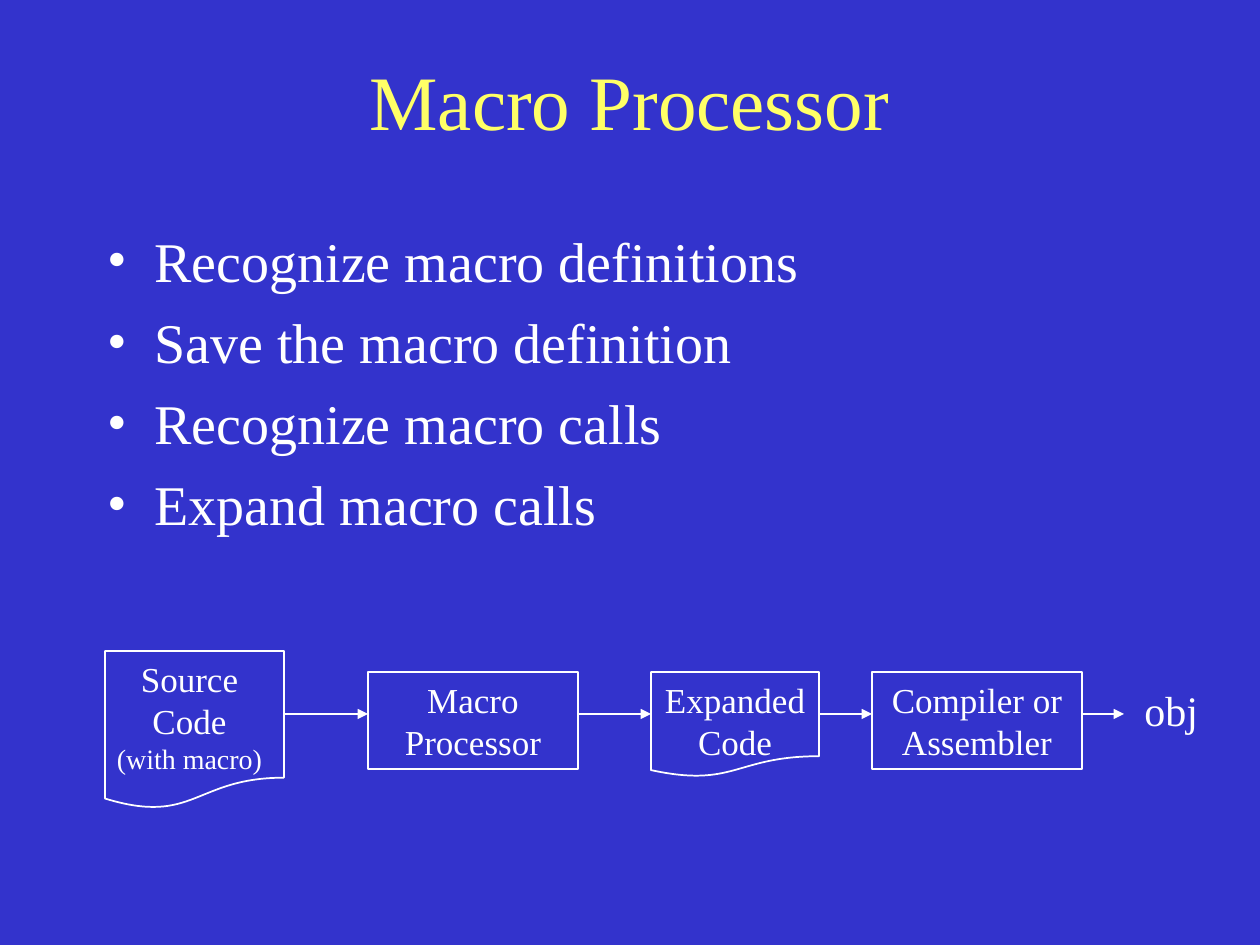
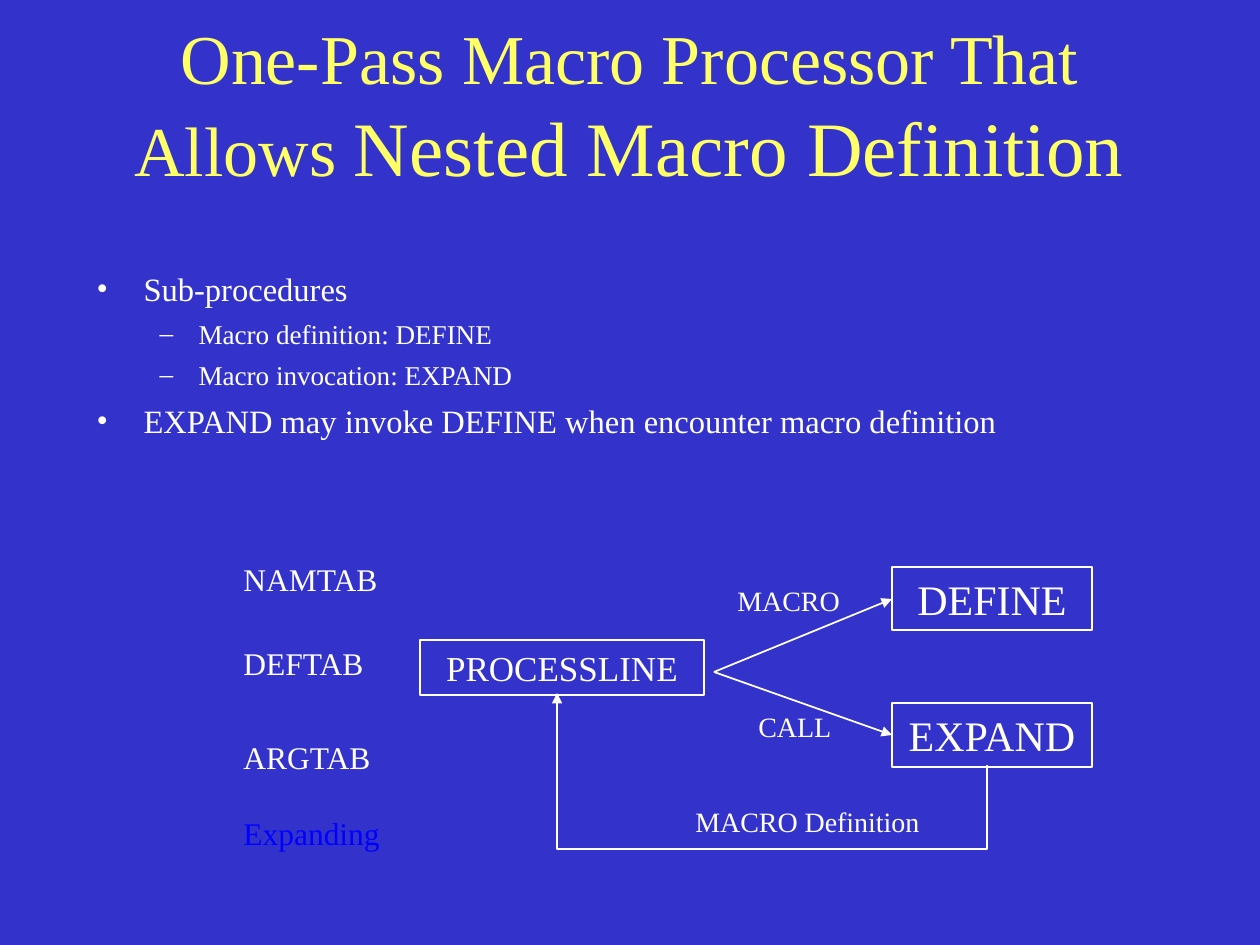
from lxml.etree import SubElement
from pptx import Presentation
from pptx.dml.color import RGBColor
from pptx.enum.shapes import MSO_CONNECTOR as Connector, MSO_SHAPE as Shape
from pptx.enum.text import MSO_ANCHOR as Anchor, PP_ALIGN as Align
from pptx.oxml.ns import qn
from pptx.util import Emu, Pt

# Shared style
COLORS = {"background": "3333CC", "title": "FFFF66", "text": "FFFFFF", "active": "0000FF"}
FONT = "Times New Roman"
LINE_HEIGHT = 1.2
PX_PER_INCH = 126
TITLE_BOX = (94, 42, 1071, 116)
BULLETS = [("•", 47, 47), ("–", 102, 39)]  # character, margin, hanging indent

# Slide 1 content
DUTIES_TITLE = [("Macro Processor", 44)]
DUTIES_BOX = (95, 220, 1071, 620)
DUTIES = [
    (0, "Recognize macro definitions"),
    (0, "Save the macro definition"),
    (0, "Recognize macro calls"),
    (0, "Expand macro calls"),
]
DUTIES_STYLE = [(32, 8)]  # size and space before, per level
FLOW_ARROW_Y = 714
FLOW_END_X = 1124
FLOW_STEPS = [
    # outline, outline box, text box, lines of (text, size)
    (Shape.FLOWCHART_DOCUMENT, (105, 651, 179, 158), (95, 651, 189, 131),
     [("Source Code", 20), ("(with macro)", 16)]),
    (Shape.RECTANGLE, (368, 672, 210, 97), None, [("Macro Processor", 20)]),
    (Shape.FLOWCHART_DOCUMENT, (651, 672, 168, 105), (651, 672, 168, 97),
     [("Expanded Code", 20)]),
    (Shape.RECTANGLE, (872, 672, 210, 97), None, [("Compiler or Assembler", 20)]),
]
FLOW_RESULT = ((1132, 678, 100, 63), "obj", 24)

# Slide 2 content
NESTED_TITLE = [("One-Pass Macro Processor That", 40), (" ", 44), ("Allows ", 40),
                ("Nested Macro Definition", 44)]
NESTED_BOX = (84, 263, 1071, 189)
NESTED = [
    (0, "Sub-procedures"),
    (1, "Macro definition: DEFINE"),
    (1, "Macro invocation: EXPAND"),
    (0, "EXPAND may invoke DEFINE when encounter macro definition"),
]
NESTED_STYLE = [(18.6, 6), (15.5, 5)]
PROCEDURES = [
    ((892, 567, 200, 63), "DEFINE", 24),
    ((892, 703, 200, 64), "EXPAND", 24),
    ((420, 640, 284, 55), "PROCESSLINE", 20),
]
BRANCH_START = (714, 672)
BRANCH_ENDS = [(892, 599), (892, 735)]
LOOP_START, LOOP_END, LOOP_BOTTOM = (987, 765), (557, 693), 849
LABELS = [
    ((231, 554, 180, 50), ["NAMTAB"], 18),
    ((231, 638, 180, 50), ["DEFTAB"], 18),
    ((231, 732, 180, 126), ["ARGTAB", "Expanding"], 18),
    ((725, 577, 145, 47), ["MACRO"], 16),
    ((746, 703, 115, 47), ["CALL"], 16),
    ((683, 798, 270, 47), ["MACRO Definition"], 16),
]


def px(value):
    return Emu(round(value * 914400 / PX_PER_INCH))


def color(name):
    return RGBColor.from_string(COLORS[name])


def place(shape, box):
    shape.left, shape.top, shape.width, shape.height = map(px, box)


def format_run(run, size, color_name="text"):
    run.font.name = FONT
    run.font.size = Pt(size)
    run.font.color.rgb = color(color_name)


def write_lines(shape, lines, align=Align.CENTER):
    """Fill a shape with one paragraph per (text, size)."""
    frame = shape.text_frame
    frame.word_wrap = True
    frame.vertical_anchor = Anchor.TOP
    frame.text = "\n".join(text for text, _ in lines)
    for paragraph, (_, size) in zip(frame.paragraphs, lines):
        paragraph.alignment = align
        paragraph.line_spacing = Pt(size * LINE_HEIGHT)
        format_run(paragraph.runs[0], size)
    return frame


def add_text(slide, box, lines, align=Align.CENTER):
    return write_lines(slide.shapes.add_textbox(*map(px, box)), lines, align)


def add_outline(slide, kind, box):
    shape = slide.shapes.add_shape(kind, *map(px, box))
    shape.shadow.inherit = False
    shape.fill.background()
    shape.line.color.rgb = color("text")
    shape.line.width = Pt(1)
    return shape


def add_arrow(slide, start, end, kind=Connector.STRAIGHT):
    arrow = slide.shapes.add_connector(kind, *map(px, (*start, *end)))
    arrow.line.color.rgb = color("text")
    arrow.line.width = Pt(1)
    SubElement(arrow.line._get_or_add_ln(), qn("a:tailEnd"), type="triangle")
    SubElement(arrow._element.spPr, qn("a:effectLst"))
    return arrow


def add_loop_arrow(slide, start, end, bottom):
    """Elbow that leaves downward, runs left and comes back up."""
    across, rise = start[0] - end[0], start[1] - end[1]
    center_x, center_y = (start[0] + end[0]) / 2, (start[1] + end[1]) / 2
    # The unrotated frame has its sides swapped around the same centre
    arrow = add_arrow(slide, (center_x - rise / 2, center_y + across / 2),
                      (center_x + rise / 2, center_y - across / 2), Connector.ELBOW)
    properties = arrow._element.spPr
    properties.find(qn("a:xfrm")).set("rot", str(270 * 60000))
    bend = round((start[1] - bottom) / rise * 100000)
    guides = properties.find(qn("a:prstGeom")).find(qn("a:avLst"))
    SubElement(guides, qn("a:gd"), name="adj1", fmla=f"val {bend}")


def add_slide(presentation, title_runs, body_box, items, level_styles):
    """Slide with a title and a bulleted list."""
    slide = presentation.slides.add_slide(presentation.slide_layouts[1])
    title, body = slide.placeholders
    place(title, TITLE_BOX)
    title.text_frame.vertical_anchor = Anchor.MIDDLE
    paragraph = title.text_frame.paragraphs[0]
    paragraph.alignment = Align.CENTER
    for text, size in title_runs:
        run = paragraph.add_run()
        run.text = text
        format_run(run, size, "title")

    place(body, body_box)
    lines = [(text, level_styles[level][0]) for level, text in items]
    frame = write_lines(body, lines, Align.LEFT)
    for index, (level, _) in enumerate(items):
        paragraph = frame.paragraphs[index]
        character, margin, hanging = BULLETS[level]
        paragraph.level = level
        paragraph.space_before = Pt(level_styles[level][1] if index else 0)
        properties = paragraph._p.get_or_add_pPr()
        properties.set("marL", str(px(margin)))
        properties.set("indent", str(-px(hanging)))
        SubElement(properties, qn("a:buFont"), typeface=FONT)
        SubElement(properties, qn("a:buChar"), char=character)
    return slide


def build_duties(presentation):
    slide = add_slide(presentation, DUTIES_TITLE, DUTIES_BOX, DUTIES, DUTIES_STYLE)
    # Flow from source code to object code
    for kind, box, text_box, lines in FLOW_STEPS:
        outline = add_outline(slide, kind, box)
        if text_box:
            add_text(slide, text_box, lines)
        else:
            write_lines(outline, lines)
    boxes = [step[1] for step in FLOW_STEPS]
    targets = [box[0] for box in boxes[1:]] + [FLOW_END_X]
    for (left, _, width, _), target in zip(boxes, targets):
        add_arrow(slide, (left + width, FLOW_ARROW_Y), (target, FLOW_ARROW_Y))
    box, text, size = FLOW_RESULT
    add_text(slide, box, [(text, size)], Align.LEFT)


def build_nested(presentation):
    slide = add_slide(presentation, NESTED_TITLE, NESTED_BOX, NESTED, NESTED_STYLE)
    # Procedures and the arrows between them
    for box, text, size in PROCEDURES:
        write_lines(add_outline(slide, Shape.RECTANGLE, box), [(text, size)])
    for end in BRANCH_ENDS:
        add_arrow(slide, BRANCH_START, end)
    add_loop_arrow(slide, LOOP_START, LOOP_END, LOOP_BOTTOM)
    # Tables and arrow labels
    for box, texts, size in LABELS:
        frame = add_text(slide, box, [(text, size) for text in texts], Align.LEFT)
        for paragraph in frame.paragraphs[1:]:
            paragraph.space_before = Pt(size * LINE_HEIGHT)
            format_run(paragraph.runs[0], size, "active")


def main():
    presentation = Presentation()
    presentation.slide_width, presentation.slide_height = px(1260), px(945)
    background = presentation.slide_master.background.fill
    background.solid()
    background.fore_color.rgb = color("background")
    build_duties(presentation)
    build_nested(presentation)
    presentation.save("out.pptx")


if __name__ == "__main__":
    main()
